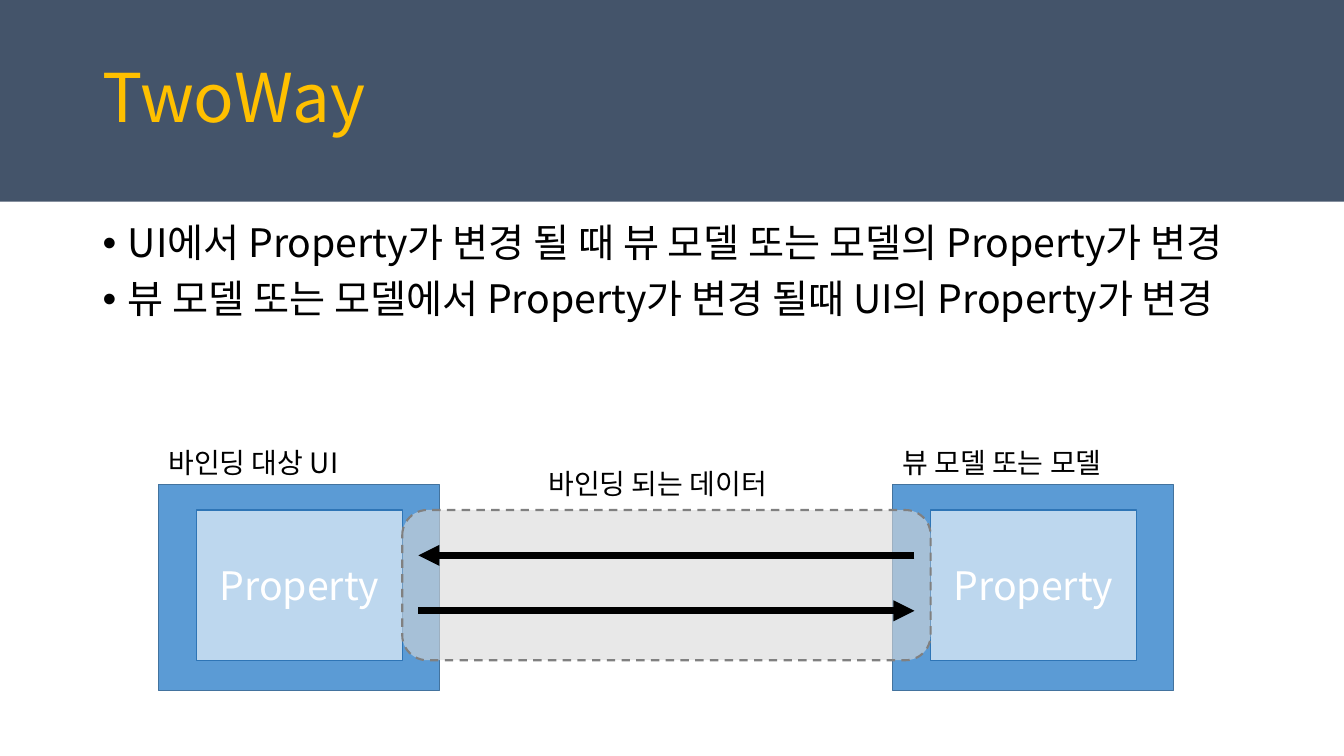
"""Build the TwoWay data binding slide."""
from dataclasses import dataclass

from lxml.etree import SubElement
from pptx import Presentation
from pptx.dml.color import RGBColor
from pptx.enum.dml import MSO_LINE_DASH_STYLE as Dash
from pptx.enum.shapes import MSO_CONNECTOR as Connector
from pptx.enum.shapes import MSO_SHAPE as Preset
from pptx.enum.text import MSO_ANCHOR as Anchor
from pptx.enum.text import MSO_AUTO_SIZE as AutoSize
from pptx.enum.text import PP_ALIGN as Align
from pptx.oxml.ns import qn
from pptx.shapes.autoshape import Shape
from pptx.shapes.shapetree import _BaseGroupShapes as Shapes
from pptx.slide import Slide
from pptx.text.text import _Paragraph as Paragraph
from pptx.util import Inches, Pt

FONT = "Noto Sans CJK KR"
BLACK = RGBColor(0x00, 0x00, 0x00)
WHITE = RGBColor(0xFF, 0xFF, 0xFF)
SLATE = RGBColor(0x44, 0x54, 0x6A)
GOLD = RGBColor(0xFF, 0xC0, 0x00)
BLUE = RGBColor(0x5B, 0x9B, 0xD5)
BLUE_EDGE = RGBColor(0x43, 0x73, 0x9E)
PALE_BLUE = RGBColor(0xBD, 0xD7, 0xEE)
PALE_EDGE = RGBColor(0x2E, 0x75, 0xB6)
LIGHT_GRAY = RGBColor(0xD9, 0xD9, 0xD9)
GRAY = RGBColor(0x80, 0x80, 0x80)


@dataclass(frozen=True)
class Area:
    left: float
    top: float
    width: float
    height: float

    def lengths(self) -> tuple[int, int, int, int]:
        return (Inches(self.left), Inches(self.top),
                Inches(self.width), Inches(self.height))


@dataclass(frozen=True)
class Endpoint:
    label: str
    left: float
    label_width: float


@dataclass(frozen=True)
class Arrow:
    start: float
    end: float
    top: float


BULLETS = (
    "UI에서 Property가 변경 될 때 뷰 모델 또는 모델의 Property가 변경",
    "뷰 모델 또는 모델에서 Property가 변경 될때 UI의 Property가 변경",
)
ENDPOINTS = (
    Endpoint("뷰 모델 또는 모델", 8.85, 2.36),
    Endpoint("바인딩 대상 UI", 1.57, 2.01),
)
ARROWS = (Arrow(9.07, 4.15, 5.51), Arrow(4.15, 9.07, 6.06))


def add_span(para: Paragraph, text: str, size: int, color: RGBColor) -> None:
    span = para.add_run()
    span.text = text
    span.font.size = Pt(size)
    span.font.name = FONT
    span.font.color.rgb = color
    SubElement(span.font._element, qn("a:ea"), typeface=FONT)


def add_block(shapes: Shapes, preset: Preset, area: Area, fill: RGBColor,
              edge: RGBColor | None = None, weight: float = 1) -> Shape:
    block = shapes.add_shape(preset, *area.lengths())
    block.shadow.inherit = False
    block.fill.solid()
    block.fill.fore_color.rgb = fill
    if edge is None:
        block.line.fill.background()
    else:
        block.line.color.rgb = edge
        block.line.width = Pt(weight)
    return block


def add_label(shapes: Shapes, text: str, area: Area) -> None:
    box = shapes.add_textbox(*area.lengths())
    box.text_frame.word_wrap = False
    box.text_frame.auto_size = AutoSize.SHAPE_TO_FIT_TEXT
    add_span(box.text_frame.paragraphs[0], text, 20, BLACK)


def add_title(page: Slide, text: str) -> None:
    box = page.shapes.add_textbox(*Area(0.92, 0.4, 11.5, 1.19).lengths())
    box.text_frame.word_wrap = True
    box.text_frame.vertical_anchor = Anchor.MIDDLE
    para = box.text_frame.paragraphs[0]
    para.line_spacing = 0.9
    add_span(para, text, 48, GOLD)


def add_bullets(page: Slide, lines: tuple[str, ...]) -> None:
    box = page.shapes.add_textbox(*Area(0.92, 2.17, 11.5, 4.59).lengths())
    frame = box.text_frame
    frame.word_wrap = True
    for index, line in enumerate(lines):
        para = frame.add_paragraph() if index else frame.paragraphs[0]
        para.line_spacing = 0.9
        para.space_before = Pt(10)
        properties = para._p.get_or_add_pPr()
        properties.set("marL", str(Inches(0.25)))
        properties.set("indent", str(-Inches(0.25)))
        SubElement(properties, qn("a:buFont"), typeface="Arial")
        SubElement(properties, qn("a:buChar"), char="•")
        add_span(para, line, 28, BLACK)


def add_endpoint(page: Slide, endpoint: Endpoint) -> None:
    shapes = page.shapes.add_group_shape().shapes
    left = endpoint.left
    add_block(shapes, Preset.RECTANGLE, Area(left, 4.81, 2.79, 2.04), BLUE, BLUE_EDGE)
    inner = add_block(shapes, Preset.RECTANGLE, Area(left + 0.38, 5.06, 2.04, 1.49),
                      PALE_BLUE, PALE_EDGE)
    inner.text_frame.vertical_anchor = Anchor.MIDDLE
    para = inner.text_frame.paragraphs[0]
    para.alignment = Align.CENTER
    add_span(para, "Property", 28, WHITE)
    add_label(shapes, endpoint.label, Area(left, 4.37, endpoint.label_width, 0.44))


def add_channel(page: Slide) -> None:
    channel = add_block(page.shapes, Preset.ROUNDED_RECTANGLE,
                        Area(3.99, 5.06, 5.24, 1.49), LIGHT_GRAY, GRAY, 1.5)
    channel.line.dash_style = Dash.DASH
    color = channel.element.spPr.find(qn("a:solidFill"))[0]
    SubElement(color, qn("a:alpha"), val="60000")
    add_label(page.shapes, "바인딩 되는 데이터", Area(5.34, 4.58, 2.54, 0.44))


def add_arrow(page: Slide, arrow: Arrow) -> None:
    line = page.shapes.add_connector(
        Connector.STRAIGHT, Inches(arrow.start), Inches(arrow.top),
        Inches(arrow.end), Inches(arrow.top))
    line.line.color.rgb = BLACK
    line.line.width = Pt(5)
    properties = line.element.spPr
    SubElement(properties.find(qn("a:ln")), qn("a:tailEnd"), type="triangle")
    SubElement(properties, qn("a:effectLst"))


def main() -> None:
    deck = Presentation()
    deck.slide_width = Inches(13.33)
    deck.slide_height = Inches(7.5)
    page = deck.slides.add_slide(deck.slide_layouts[6])
    add_block(page.shapes, Preset.RECTANGLE, Area(0, 0, 13.33, 2), SLATE)
    add_bullets(page, BULLETS)
    add_title(page, "TwoWay")
    for endpoint in ENDPOINTS:
        add_endpoint(page, endpoint)
    add_channel(page)
    for arrow in ARROWS:
        add_arrow(page, arrow)
    deck.save("out.pptx")


if __name__ == "__main__":
    main()
